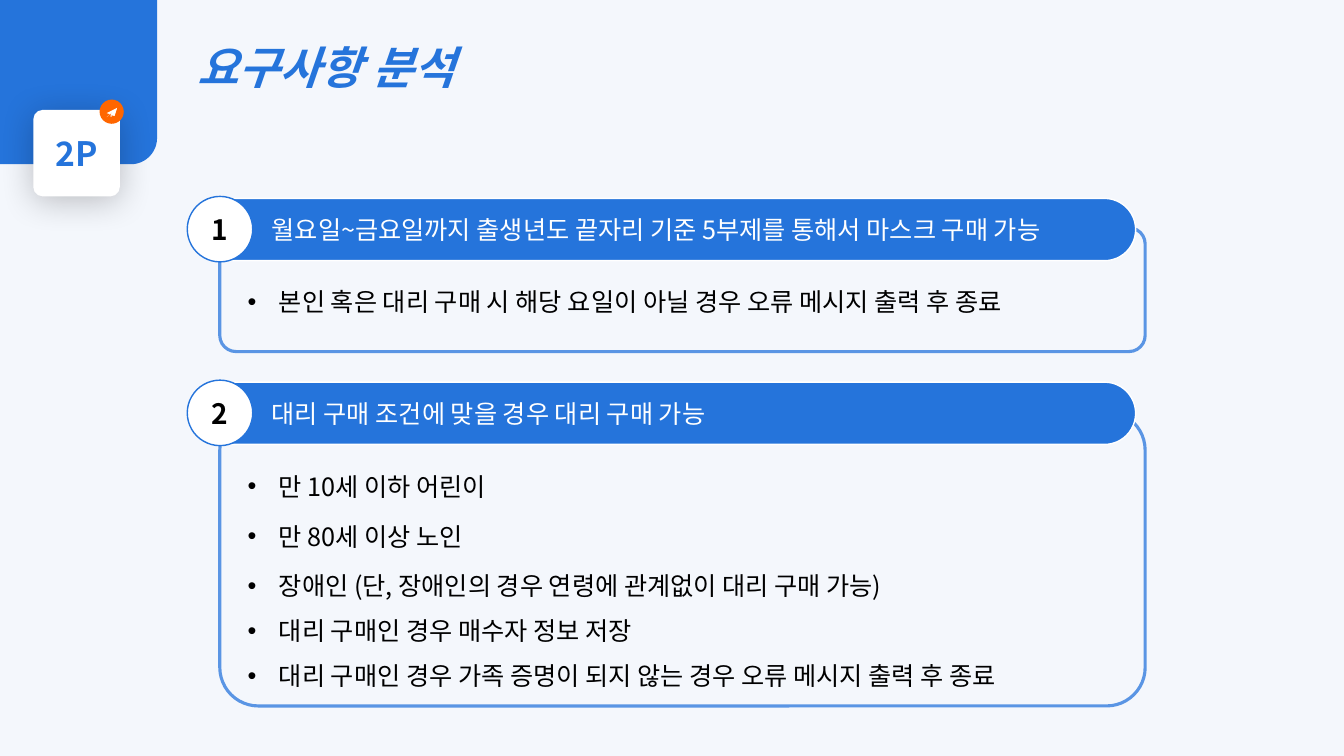
from lxml import etree
from pptx import Presentation
from pptx.dml.color import RGBColor
from pptx.enum.shapes import MSO_SHAPE as Shape
from pptx.enum.text import MSO_ANCHOR as Anchor, MSO_AUTO_SIZE as AutoSize, PP_ALIGN as Align
from pptx.oxml.ns import qn
from pptx.util import Cm, Pt

TITLE = "요구사항 분석"
PAGE = "2P"
SECTIONS = [
    dict(top=4.95, frame_h=3.12, list_h=1.2,
         head="월요일~금요일까지 출생년도 끝자리 기준 5부제를 통해서 마스크 구매 가능",
         items=[("본인 혹은 대리 구매 시 해당 요일이 아닐 경우 오류 메시지 출력 후 종료", 0)]),
    dict(top=9.58, frame_h=7.42, list_h=6.0,
         head="대리 구매 조건에 맞을 경우 대리 구매 가능",
         items=[("만 10세 이하 어린이", 0),
                ("만 80세 이상 노인", 9.6),
                ("장애인 (단, 장애인의 경우 연령에 관계없이 대리 구매 가능)", 9.6),
                ("대리 구매인 경우 매수자 정보 저장", 6),
                ("대리 구매인 경우 가족 증명이 되지 않는 경우 오류 메시지 출력 후 종료", 6)]),
]
PLANE = [
    [(2.69, 2.95), (2.95, 2.72), (2.79, 2.88), (2.89, 2.92), (2.95, 2.72)],
    [(2.95, 2.72), (2.88, 2.92), (2.79, 2.9), (2.9, 2.77), (2.77, 2.88), (2.69, 2.85)],
    [(2.79, 2.9), (2.83, 2.92), (2.79, 2.95)],
]
FONT = "Noto Sans CJK KR"
BLUE, FRAME, ORANGE = "2574DB", "5A95E4", "FF6600"
WHITE, BLACK, BACK = "FFFFFF", "000000", "F4F7FC"


def color(value):
    return RGBColor.from_string(value)


def paint(sp, fill=None, line=None, width=1):
    sp.shadow.inherit = False
    if fill:
        sp.fill.solid()
        sp.fill.fore_color.rgb = color(fill)
    else:
        sp.fill.background()
    if line:
        sp.line.color.rgb = color(line)
        sp.line.width = Pt(width)
    else:
        sp.line.fill.background()
    return sp


def add(s, kind, x, y, w, h, adj=None, **look):
    sp = s.shapes.add_shape(kind, Cm(x), Cm(y), Cm(w), Cm(h))
    if adj is not None:
        sp.adjustments[0] = adj
    return paint(sp, **look)


def write(p, text, size=18, fill=BLACK, bold=False, italic=False, align=Align.LEFT):
    p.alignment = align
    r = p.add_run()
    r.text = text
    f = r.font
    f.name, f.size, f.bold, f.italic = FONT, Pt(size), bold, italic
    f.color.rgb = color(fill)
    etree.SubElement(r._r.get_or_add_rPr(), qn("a:ea"), typeface=FONT)


def frame_text(sp, wrap=True, left=0.25):
    tf = sp.text_frame
    tf.auto_size = AutoSize.NONE
    tf.word_wrap = wrap
    tf.vertical_anchor = Anchor.MIDDLE
    tf.margin_left = Cm(left)
    return tf


def place(sp, x, y, w, h):
    sp.left, sp.top, sp.width, sp.height = Cm(x), Cm(y), Cm(w), Cm(h)


def add_bullet(p):
    pPr = p._p.get_or_add_pPr()
    pPr.set("marL", str(Cm(0.79)))
    pPr.set("indent", str(-Cm(0.79)))
    etree.SubElement(pPr, qn("a:buChar"), char="•")


def add_card_shadow(sp):
    effects = sp._element.spPr.find(qn("a:effectLst"))
    shadow = etree.SubElement(effects, qn("a:outerShdw"), blurRad=str(Pt(25)),
                              dist=str(Pt(3)), dir="5400000", algn="t", rotWithShape="0")
    tint = etree.SubElement(shadow, qn("a:srgbClr"), val=BLACK)
    etree.SubElement(tint, qn("a:alpha"), val="24000")


def add_plane(s):
    for outline in PLANE:
        points = [(Cm(x), Cm(y)) for x, y in outline]
        builder = s.shapes.build_freeform(*points[0])
        builder.add_line_segments(points[1:], close=True)
        paint(builder.convert_to_shape(), fill=WHITE)


def add_page_mark(s):
    corner = add(s, Shape.ROUND_1_RECTANGLE, 0, 0, 3.96, 4.14, fill=BLUE)
    corner._element.spPr.xfrm.set("flipV", "1")
    card = add(s, Shape.ROUNDED_RECTANGLE, 0.84, 2.77, 2.18, 2.18, adj=0.11, fill=WHITE)
    add_card_shadow(card)
    write(frame_text(card, wrap=False).paragraphs[0], PAGE, size=24, fill=BLUE,
          bold=True, align=Align.CENTER)
    add(s, Shape.OVAL, 2.51, 2.51, 0.61, 0.61, fill=ORANGE)
    add_plane(s)


def add_section(s, number, body, top, frame_h, list_h, head, items):
    add(s, Shape.ROUNDED_RECTANGLE, 5.54, top + 0.79, 23.32, frame_h, adj=0.131,
        line=FRAME, width=2.25)
    bar = add(s, Shape.ROUNDED_RECTANGLE, 4.72, top + 0.05, 23.9, 1.57, adj=0.5,
              fill=BLUE, line=WHITE)
    write(frame_text(bar, wrap=False, left=1.9).paragraphs[0], head, fill=WHITE)
    badge = add(s, Shape.OVAL, 4.72, top, 1.65, 1.65, fill=WHITE, line=BLUE)
    write(frame_text(badge).paragraphs[0], str(number), size=20, bold=True, align=Align.CENTER)

    place(body, 5.99, top + 1.98, 22.45, list_h)
    tf = frame_text(body)
    for i, (text, before) in enumerate(items):
        p = tf.add_paragraph() if i else tf.paragraphs[0]
        p.line_spacing, p.space_before, p.space_after = Pt(26), Pt(before), Pt(0)
        add_bullet(p)
        write(p, text)


def main():
    prs = Presentation()
    prs.slide_width, prs.slide_height = Cm(33.87), Cm(19.05)
    s = prs.slides.add_slide(prs.slide_layouts[3])
    s.background.fill.solid()
    s.background.fill.fore_color.rgb = color(BACK)
    title, *bodies = s.placeholders
    place(title, 4.72, 0.66, 16.94, 2.03)
    write(frame_text(title).paragraphs[0], TITLE, size=32, fill=BLUE, bold=True, italic=True)
    add_page_mark(s)
    for number, (body, section) in enumerate(zip(bodies, SECTIONS), 1):
        add_section(s, number, body, **section)
    prs.save("out.pptx")


if __name__ == "__main__":
    main()
